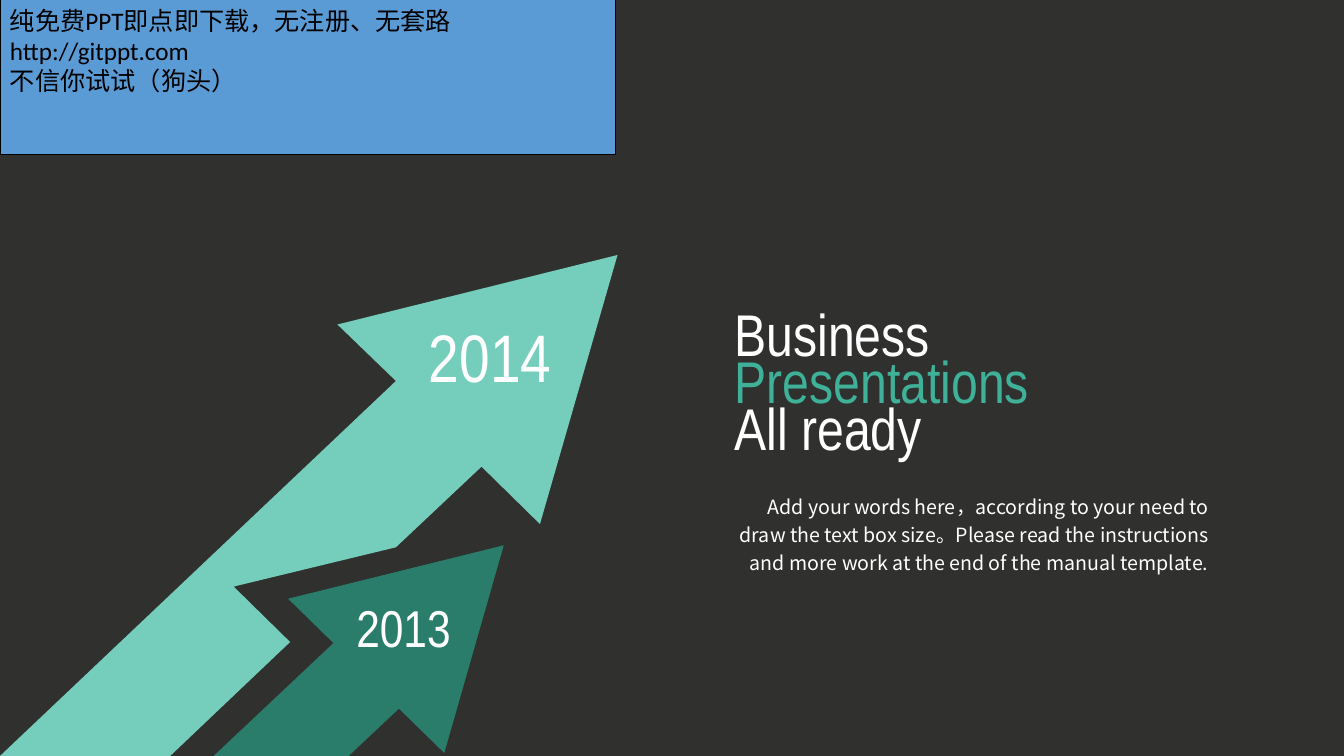
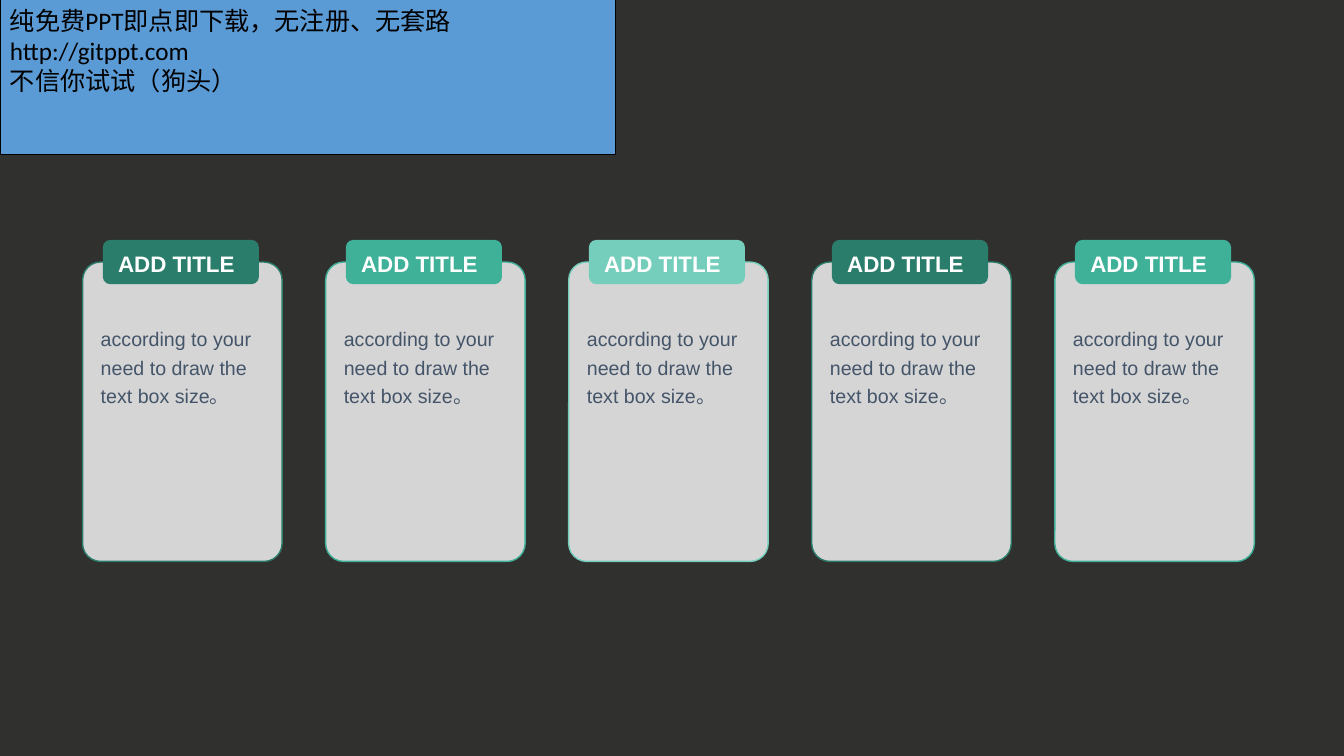
import pptx
import pptx.dml.color
import pptx.enum.shapes
import pptx.enum.text
import pptx.oxml
import pptx.oxml.ns
import pptx.util

Inches = pptx.util.Inches
Pt = pptx.util.Pt
SHAPE = pptx.enum.shapes.MSO_SHAPE
ALIGN = pptx.enum.text.PP_ALIGN
ANCHOR = pptx.enum.text.MSO_ANCHOR

COLORS = {
    "back": "30302F",
    "band": "5B9BD5",
    "black": "000000",
    "white": "FFFFFF",
    "slate": "445469",
    "dark": "2B7D6B",
    "mid": "3EB198",
    "light": "74CEBB",
}
INSET = (0.1, 0.05, 0.1, 0.05)

# Outlines in inches
LARGE = [(6.13, 2.53), (3.35, 3.22), (3.93, 3.78), (0, 7.5), (1.69, 7.5),
         (2.88, 6.37), (2.32, 5.82), (3.93, 5.43), (4.78, 4.63), (5.36, 5.2)]
SMALL = [(5, 5.41), (2.86, 5.94), (3.31, 6.38), (2.12, 7.5), (3.46, 7.5),
         (3.96, 7.03), (4.41, 7.47)]

CARDS = ["dark", "mid", "light", "dark", "mid"]
FIRST, LAST = 0.82, 10.47


def color(name):
    return pptx.dml.color.RGBColor.from_string(COLORS[name])


def paint(shape, fill, line=None, width=1, alpha=None):
    """Give a shape its fill, outline and transparency."""
    shape.shadow.inherit = False
    shape.fill.solid()
    shape.fill.fore_color.rgb = color(fill)
    if alpha:
        tone = shape.fill._xPr.find(".//" + pptx.oxml.ns.qn("a:srgbClr"))
        node = pptx.oxml.parse_xml(
            f'<a:alpha {pptx.oxml.ns.nsdecls("a")} val="{alpha * 1000}"/>')
        tone.append(node)
    if line:
        shape.line.color.rgb = color(line)
        shape.line.width = Pt(width)
    else:
        shape.line.fill.background()


def block(slide, kind, box, fill, round_by=None, **look):
    """Add a filled preset shape."""
    shape = slide.shapes.add_shape(kind, *map(Inches, box))
    if round_by is not None:
        shape.adjustments[0] = round_by
    paint(shape, fill, **look)
    return shape


def arrow(slide, points, fill):
    """Add a closed outline through the points."""
    spots = [(Inches(x), Inches(y)) for x, y in points]
    pen = slide.shapes.build_freeform(*spots[0])
    pen.add_line_segments(spots[1:], close=True)
    paint(pen.convert_to_shape(), fill)


def write(shape, text, size, font, tones, align=ALIGN.LEFT, inset=(0, 0, 0, 0),
          anchor=ANCHOR.TOP, space=None, bold=False):
    """Set and format text, with one tone for each paragraph."""
    frame = shape.text_frame
    frame.text = text
    frame.word_wrap = True
    frame.auto_size = pptx.enum.text.MSO_AUTO_SIZE.NONE
    frame.vertical_anchor = anchor
    (frame.margin_left, frame.margin_top,
     frame.margin_right, frame.margin_bottom) = map(Inches, inset)
    for para, tone in zip(frame.paragraphs, tones):
        para.alignment = align
        para.space_before = Pt(0)
        if space:
            para.line_spacing = space
        for run in para.runs:
            run.font.size = Pt(size)
            run.font.name = font
            run.font.bold = bold
            run.font.color.rgb = color(tone)


def place(shape, box):
    """Move a placeholder."""
    shape.left, shape.top, shape.width, shape.height = map(Inches, box)
    return shape


def label(slide, box, text, size, font, tone, **look):
    """Add a text box."""
    shape = slide.shapes.add_textbox(*map(Inches, box))
    write(shape, text, size, font, [tone], **look)


def band(slide):
    """Add the notice in the top left corner."""
    shape = block(slide, SHAPE.RECTANGLE, (0, 0, 6.11, 1.53), "band",
                  line="black", width=0.75)
    write(shape, "纯免费PPT即点即下载，无注册、无套路\n"
          "http://gitppt.com\n不信你试试（狗头）",
          18, "Calibri", ["black"] * 3, inset=INSET)


def cover(deck):
    slide = deck.slides.add_slide(deck.slide_layouts[0])
    # Growth arrows with their years
    arrow(slide, LARGE, "light")
    arrow(slide, SMALL, "dark")
    for year, size, box in [("2014", 48, (3.95, 3.08, 1.83, 0.9)),
                            ("2013", 37, (3.09, 5.86, 1.83, 0.72))]:
        label(slide, box, year, size, "Arial Narrow", "white",
              align=ALIGN.CENTER, inset=INSET)
    # Title and summary
    title = place(slide.shapes.title, (7.16, 3, 4.48, 1.78))
    write(title, "Business\nPresentations\nAll ready", 42, "Arial Narrow",
          ["white", "mid", "white"], inset=(0.13, 0.07, 0.13, 0.07),
          anchor=ANCHOR.MIDDLE, space=Pt(33.4))
    body = place(slide.placeholders[1], (7.31, 4.86, 4.69, 1.12))
    write(body, "Add your words here，according to your need to draw the text "
          "box size。Please read the instructions and more work at the end of "
          "the manual template.", 14, "Noto Sans CJK SC", ["white"],
          align=ALIGN.RIGHT, space=1.2)
    band(slide)


def card(slide, left, tone):
    """Add a panel with its heading tab and text."""
    block(slide, SHAPE.ROUNDED_RECTANGLE, (left, 2.6, 1.98, 2.97), "white",
          round_by=0.09, line=tone, alpha=80)
    tab = block(slide, SHAPE.ROUNDED_RECTANGLE, (left + 0.2, 2.38, 1.55, 0.44),
                tone, round_by=0.17)
    write(tab, "ADD TITLE", 16, "Arial", ["white"], bold=True,
          inset=(0.13, 0.04, 0, 0), anchor=ANCHOR.MIDDLE)
    label(slide, (left + 0.18, 3.2, 1.62, 0.84),
          "according to your need to draw the text box size。",
          14, "Arial", "slate", space=1.2)


def cards(deck):
    slide = deck.slides.add_slide(deck.slide_layouts[6])
    step = (LAST - FIRST) / (len(CARDS) - 1)
    for i, tone in enumerate(CARDS):
        card(slide, FIRST + i * step, tone)
    band(slide)


def main():
    deck = pptx.Presentation()
    deck.slide_width = Inches(13.34)
    deck.slide_height = Inches(7.5)
    # Shared background
    fill = deck.slide_master.background.fill
    fill.solid()
    fill.fore_color.rgb = color("back")
    cover(deck)
    cards(deck)
    deck.save("out.pptx")


if __name__ == "__main__":
    main()
